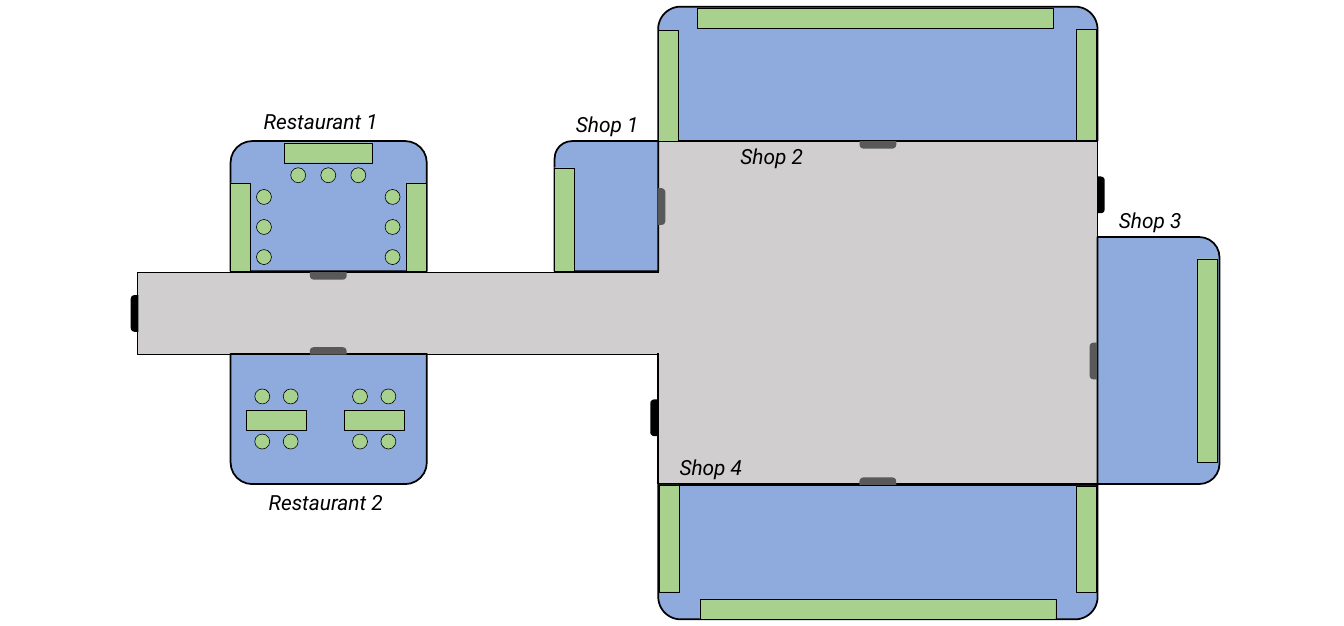
from pptx import Presentation
from pptx.dml.color import RGBColor
from pptx.enum.shapes import MSO_SHAPE
from pptx.enum.text import MSO_AUTO_SIZE, PP_ALIGN
from pptx.util import Emu, Pt

RECT = MSO_SHAPE.RECTANGLE
OVAL = MSO_SHAPE.OVAL
ROUND_ONE = MSO_SHAPE.ROUND_1_RECTANGLE
ROUND_TOP = MSO_SHAPE.ROUND_2_SAME_RECTANGLE
GROW = MSO_AUTO_SIZE.SHAPE_TO_FIT_TEXT
CENTER = PP_ALIGN.CENTER

BLACK = RGBColor(0x00, 0x00, 0x00)
DARK = RGBColor(0x59, 0x59, 0x59)
GREY = RGBColor(0xD0, 0xCE, 0xCE)
BLUE = RGBColor(0x8F, 0xAA, 0xDC)
GREEN = RGBColor(0xA9, 0xD1, 0x8E)

SCALE = 9144  # EMU per px, 100 px to the inch
SEAT = 18
DEEP = 24
LABEL = {"name": "Roboto", "size": Pt(18), "italic": True}

# left, top, width, height before the turn, then the turn in degrees
ROOMS = [
    (ROUND_TOP, (276, 169, 235, 156), 0),
    (ROUND_TOP, (276, 424, 235, 156), 180),
    (ROUND_ONE, (648, 185, 156, 124), 270),
    (ROUND_TOP, (788, 8, 526, 161), 0),
    (ROUND_TOP, (1239, 359, 296, 146), 90),
    (ROUND_TOP, (788, 581, 526, 161), 180),
]
# left, top, turn
DOORS = [
    (371, 326, 180), (371, 416, 0), (770, 243, 90),
    (1029, 169, 180), (1287, 428, 270), (1029, 572, 0),
]
EXITS = [(139, 371, 270), (761, 496, 270), (1296, 229, 90)]
SHELVES = [
    (788, 36, DEEP, 133), (835, 10, 426, DEEP), (663, 201, DEEP, 124),
    (1288, 35, DEEP, 133), (1433, 310, DEEP, 244), (838, 718, 426, DEEP),
    (1288, 582, DEEP, 128), (789, 581, DEEP, 128),
]
LABELS = [
    ("Restaurant 1", 282, 125), ("Restaurant 2", 288, 582),
    ("Shop 1", 625, 129), ("Shop 2", 822, 167),
    ("Shop 3", 1275, 244), ("Shop 4", 749, 540),
]


def px(*sizes):
    return [Emu(size * SCALE) for size in sizes]


def block(shapes, kind, box, fill, line=None, width=1.5, turn=0):
    """Add a filled shape; without a line colour it has no outline."""
    shape = shapes.add_shape(kind, *px(*box))
    shape.shadow.inherit = False
    shape.rotation = turn
    shape.fill.solid()
    shape.fill.fore_color.rgb = fill
    if line is None:
        shape.line.fill.background()
    else:
        shape.line.color.rgb = line
        shape.line.width = Pt(width)
    return shape


def door(shapes, left, top, turn, fill):
    leaf = block(shapes, ROUND_TOP, (left, top, 44, 9), fill, turn=turn)
    leaf.adjustments[0] = 0.5
    leaf.adjustments[1] = 0


def shelf(shapes, box):
    block(shapes, RECT, box, GREEN, BLACK, 0.25)


def table(shapes, box, seats):
    """Group a table or counter with its seats, given by left and top."""
    group = shapes.add_group_shape().shapes
    shelf(group, box)
    for left, top in seats:
        block(group, OVAL, (left, top, SEAT, SEAT), GREEN, BLACK, 0.5)


def label(shapes, text, left, top):
    frame = shapes.add_textbox(*px(left, top, 204, 40)).text_frame
    frame.word_wrap = True
    frame.auto_size = GROW
    para = frame.paragraphs[0]
    para.alignment = CENTER
    run = para.add_run()
    run.text = text
    for key, value in LABEL.items():
        setattr(run.font, key, value)
    run.font.color.rgb = BLACK


def main():
    deck = Presentation()
    deck.slide_width, deck.slide_height = px(1609, 750)
    shapes = deck.slides.add_slide(deck.slide_layouts[6]).shapes

    block(shapes, RECT, (165, 326, 736, 99), GREY, BLACK, 1)
    block(shapes, RECT, (788, 169, 526, 411), GREY, BLACK)
    for kind, box, turn in ROOMS:
        block(shapes, kind, box, BLUE, BLACK, turn=turn)
    for spot in DOORS:
        door(shapes, *spot, DARK)
    # Opens the wall between the corridor and the hall
    block(shapes, RECT, (771, 328, 30, 94), GREY, GREY)
    for spot in EXITS:
        door(shapes, *spot, BLACK)

    table(shapes, (340, 171, 106, DEEP), [(348 + 36 * i, 201) for i in range(3)])
    for left, seat in ((276, 307), (486, 461)):
        seats = [(seat, 227 + 36 * i) for i in range(3)]
        table(shapes, (left, 219, DEEP, 106), seats)
    for left in (295, 412):
        seats = [(left + x, y) for y in (466, 520) for x in (10, 44)]
        table(shapes, (left, 491, 72, DEEP), seats)

    for box in SHELVES:
        shelf(shapes, box)
    for text, left, top in LABELS:
        label(shapes, text, left, top)
    deck.save("out.pptx")


if __name__ == "__main__":
    main()
